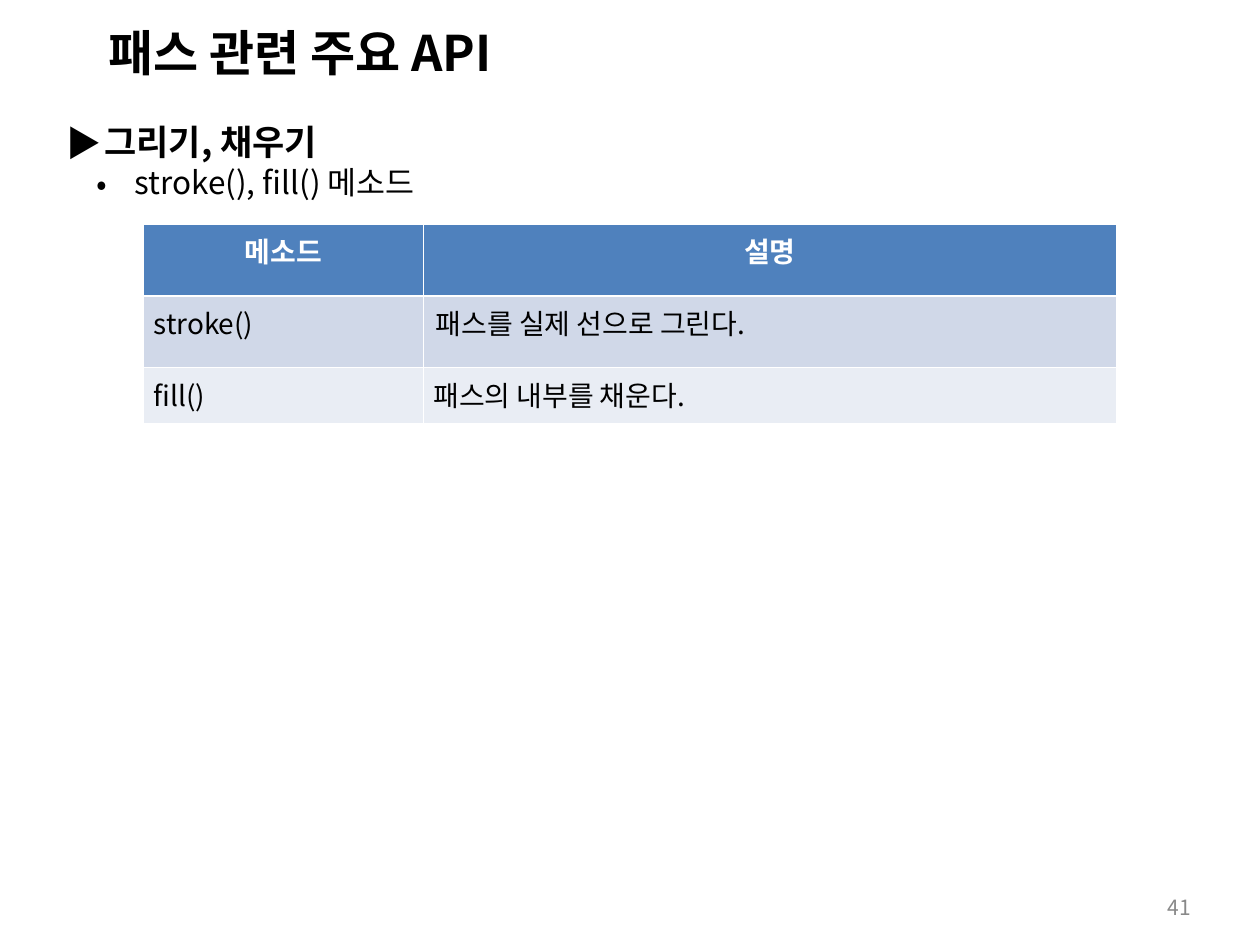
from dataclasses import dataclass

from lxml import etree
from pptx import Presentation
from pptx.dml.color import RGBColor
from pptx.enum.text import MSO_ANCHOR, PP_ALIGN
from pptx.oxml.ns import qn
from pptx.util import Inches, Pt

LEFT, CENTER, RIGHT = PP_ALIGN.LEFT, PP_ALIGN.CENTER, PP_ALIGN.RIGHT
JUSTIFY = PP_ALIGN.JUSTIFY
TOP, MIDDLE = MSO_ANCHOR.TOP, MSO_ANCHOR.MIDDLE

FONT = "Noto Sans CJK KR"
WIDTH, HEIGHT = 10, 7.5
COLORS = {
    "text": "000000", "number": "898989", "white": "FFFFFF",
    "header": "4F81BD", "band": "D0D8E8", "light": "E9EDF4",
}


@dataclass
class Line:
    text: str
    size: float
    bold: bool = False
    color: str = "text"
    align: PP_ALIGN = LEFT
    bullet: str = ""
    margin: float = 0
    hanging: float = 0


@dataclass
class Row:
    method: str
    description: str
    height: float
    fill: str
    inset: float  # side inset of the description cell


def style_line(paragraph, line: Line) -> None:
    paragraph.text = line.text
    paragraph.alignment = line.align
    if line.bullet:
        props = paragraph._p.get_or_add_pPr()
        props.set("marL", str(Inches(line.margin)))
        props.set("indent", str(-Inches(line.hanging)))
        etree.SubElement(props, qn("a:buFont"), typeface=FONT)
        etree.SubElement(props, qn("a:buChar"), char=line.bullet)
    font = paragraph.font
    font.size, font.bold, font.name = Pt(line.size), line.bold, FONT
    font.color.rgb = RGBColor.from_string(COLORS[line.color])
    # Hangul takes its face from the East Asian font
    defaults = paragraph._p.pPr.find(qn("a:defRPr"))
    etree.SubElement(defaults, qn("a:ea"), typeface=FONT)


def add_text(slide, left: float, top: float, width: float, height: float,
             lines: list[Line], wrap: bool = True, anchor: MSO_ANCHOR = TOP) -> None:
    """Place a text box; lengths are shares of the slide's size."""
    box = slide.shapes.add_textbox(
        Inches(left * WIDTH), Inches(top * HEIGHT),
        Inches(width * WIDTH), Inches(height * HEIGHT))
    frame = box.text_frame
    frame.word_wrap, frame.vertical_anchor = wrap, anchor
    for index, line in enumerate(lines):
        style_line(frame.add_paragraph() if index else frame.paragraphs[0], line)


def add_border(cell, side: str, points: float) -> None:
    edge = etree.SubElement(cell._tc.get_or_add_tcPr(), qn(f"a:ln{side}"),
                            w=str(Pt(points)))
    fill = etree.SubElement(edge, qn("a:solidFill"))
    etree.SubElement(fill, qn("a:srgbClr"), val=COLORS["white"])


def add_method_table(slide, left: float, top: float,
                     columns: list[float], rows: list[Row]) -> None:
    table = slide.shapes.add_table(
        len(rows), len(columns), Inches(left * WIDTH), Inches(top * HEIGHT),
        Inches(sum(columns)), Inches(sum(row.height for row in rows))).table
    table.horz_banding = False
    for column, width in zip(table.columns, columns):
        column.width = Inches(width)
    for r, row in enumerate(rows):
        header = r == 0
        table.rows[r].height = Inches(row.height)
        for c, text in enumerate((row.method, row.description)):
            cell = table.cell(r, c)
            inset = row.inset if header or c else 0.08
            cell.margin_left = cell.margin_right = Inches(inset)
            # The rule under the header is heavier than the others
            for side in "LRTB":
                heavy = (r, side) in ((0, "B"), (1, "T"))
                add_border(cell, side, 1.47 if heavy else 0.45)
            cell.fill.solid()
            cell.fill.fore_color.rgb = RGBColor.from_string(COLORS[row.fill])
            align = CENTER if header else LEFT if c else JUSTIFY
            color = "white" if header else "text"
            style_line(cell.text_frame.paragraphs[0],
                       Line(text, 16, header, color, align))


def main() -> None:
    deck = Presentation()
    deck.slide_width, deck.slide_height = Inches(WIDTH), Inches(HEIGHT)
    slide = deck.slides.add_slide(deck.slide_layouts[6])

    # Title
    add_text(slide, 0.076, 0.017, 0.342, 0.076,
             [Line("패스 관련 주요 API", 28, True)], wrap=False)

    # Topic and its methods
    add_text(slide, 0.043, 0.121, 0.914, 0.099, [
        Line("그리기, 채우기", 20, True, bullet="▶", margin=0.3, hanging=0.3),
        Line("stroke(), fill() 메소드", 18, bullet="•", margin=0.54, hanging=0.3),
    ])

    # Method descriptions
    add_method_table(slide, 0.114, 0.237, [2.22, 5.5], [
        Row("메소드", "설명", 0.57, "header", 0.1),
        Row("stroke()", "패스를 실제 선으로 그린다.", 0.57, "band", 0.1),
        Row("fill()", "패스의 내부를 채운다.", 0.44, "light", 0.08),
    ])

    # Page number
    add_text(slide, 0.722, 0.933, 0.233, 0.053,
             [Line("41", 12, color="number", align=RIGHT)], anchor=MIDDLE)

    deck.save("out.pptx")


if __name__ == "__main__":
    main()
